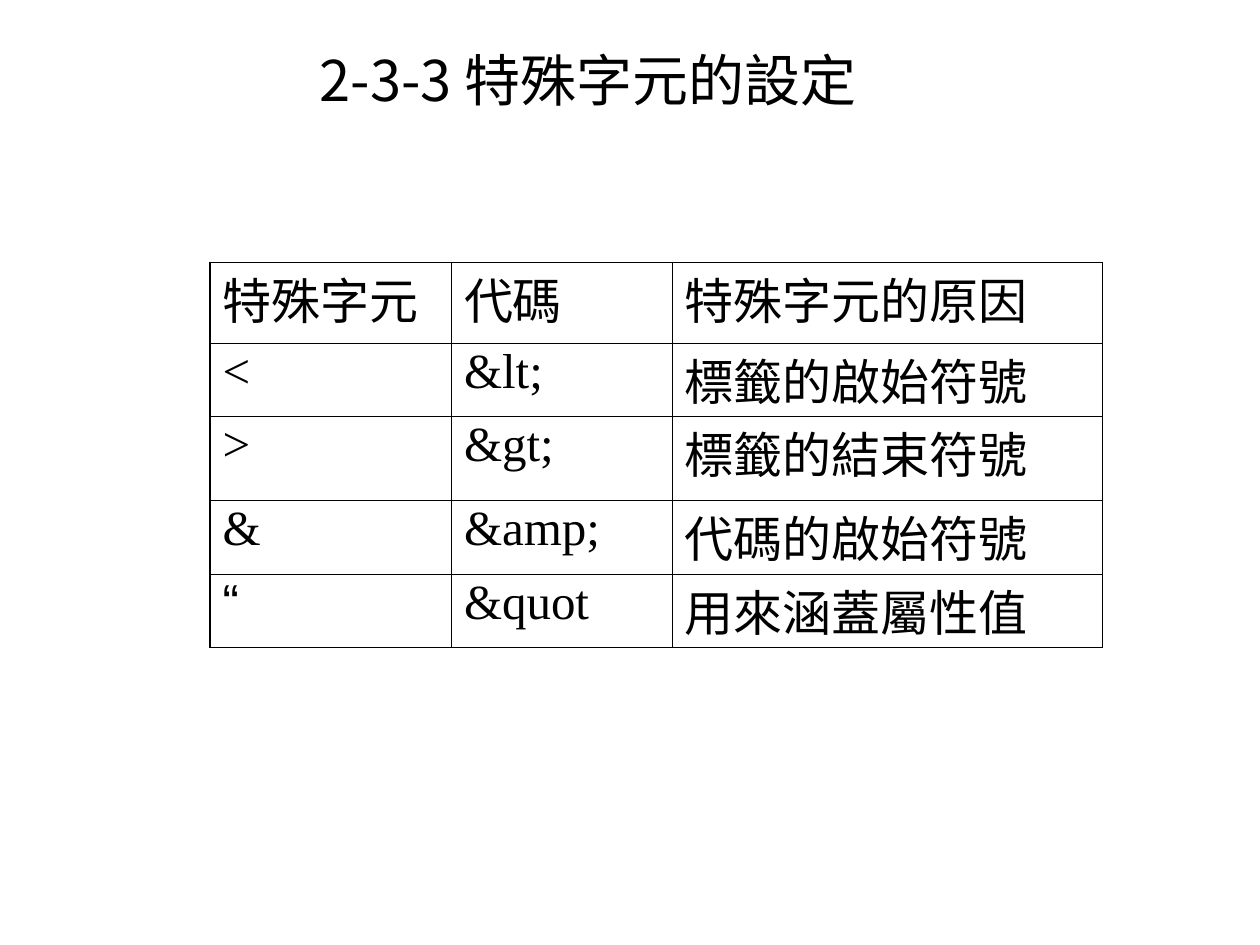
from dataclasses import dataclass

from lxml import etree
from pptx import Presentation
from pptx.dml.color import RGBColor
from pptx.enum.text import MSO_ANCHOR, PP_ALIGN
from pptx.oxml.ns import qn
from pptx.util import Pt

BLACK = RGBColor(0x00, 0x00, 0x00)
WHITE = RGBColor(0xFF, 0xFF, 0xFF)
MIDDLE = MSO_ANCHOR.MIDDLE
CENTER = PP_ALIGN.CENTER

CJK_FONT = "Noto Sans CJK TC"
LATIN_FONT = "Times New Roman"
QUOTE_FONT = "Arial"
OUTER_LINE = Pt(1.08)
INNER_LINE = Pt(0.45)

COLUMN_WIDTHS = (138, 126, 246)
ROW_HEIGHTS = (46, 42, 48, 42, 42)


@dataclass(frozen=True)
class Entry:
    character: str
    code: str
    reason: str
    character_font: str = LATIN_FONT


ENTRIES = (
    Entry("特殊字元", "代碼", "特殊字元的原因"),
    Entry("<", "&lt;", "標籤的啟始符號"),
    Entry(">", "&gt;", "標籤的結束符號"),
    Entry("&", "&amp;", "代碼的啟始符號"),
    Entry("“", "&quot", "用來涵蓋屬性值", QUOTE_FONT),
)


def style_paragraph(paragraph, latin_font: str, size: float) -> None:
    """Set the Latin and East Asian fonts, size and colour of a paragraph."""
    font = paragraph.font
    font.name = latin_font
    font.size = Pt(size)
    font.color.rgb = BLACK
    for run in paragraph.runs:
        properties = run._r.get_or_add_rPr()
        etree.SubElement(properties, qn("a:ea"), typeface=CJK_FONT)


def add_border(cell, side: str, width: int) -> None:
    line = etree.SubElement(cell._tc.get_or_add_tcPr(), qn(f"a:ln{side}"), w=str(width))
    fill = etree.SubElement(line, qn("a:solidFill"))
    etree.SubElement(fill, qn("a:srgbClr"), val=str(BLACK))


def add_title(slide, title: str) -> None:
    box = slide.shapes.add_textbox(Pt(18), Pt(0), Pt(636.5), Pt(90))
    frame = box.text_frame
    frame.word_wrap = True
    frame.vertical_anchor = MIDDLE
    heading = frame.paragraphs[0]
    heading.text = title
    heading.alignment = CENTER
    style_paragraph(heading, CJK_FONT, 32)


def fill_cell(cell, text: str, latin_font: str) -> None:
    cell.margin_left = cell.margin_right = Pt(7.2)
    cell.margin_top = cell.margin_bottom = Pt(3.6)
    paragraph = cell.text_frame.paragraphs[0]
    paragraph.text = text
    paragraph.line_spacing = 0.9
    style_paragraph(paragraph, latin_font, 28)


def add_character_table(slide, entries: tuple[Entry, ...]) -> None:
    table = slide.shapes.add_table(
        len(entries), len(COLUMN_WIDTHS), Pt(120), Pt(150),
        Pt(sum(COLUMN_WIDTHS)), Pt(sum(ROW_HEIGHTS)),
    ).table
    table.first_row = False
    table.horz_banding = False
    for column, width in zip(table.columns, COLUMN_WIDTHS):
        column.width = Pt(width)
    for row, height in zip(table.rows, ROW_HEIGHTS):
        row.height = Pt(height)

    last_row, last_column = len(entries) - 1, len(COLUMN_WIDTHS) - 1
    for r, entry in enumerate(entries):
        contents = (
            (entry.character, entry.character_font),
            (entry.code, LATIN_FONT),
            (entry.reason, LATIN_FONT),
        )
        for c, (text, latin_font) in enumerate(contents):
            cell = table.cell(r, c)
            fill_cell(cell, text, latin_font)
            outer_sides = {
                "L": c == 0,
                "R": c == last_column,
                "T": r == 0,
                "B": r == last_row,
            }
            for side, is_outer in outer_sides.items():
                add_border(cell, side, OUTER_LINE if is_outer else INNER_LINE)
            cell.fill.background()


def main() -> None:
    presentation = Presentation()
    presentation.slide_width = Pt(720)
    presentation.slide_height = Pt(540)
    slide = presentation.slides.add_slide(presentation.slide_layouts[6])
    slide.background.fill.solid()
    slide.background.fill.fore_color.rgb = WHITE
    add_title(slide, "2-3-3 特殊字元的設定")
    add_character_table(slide, ENTRIES)
    presentation.save("out.pptx")


if __name__ == "__main__":
    main()
